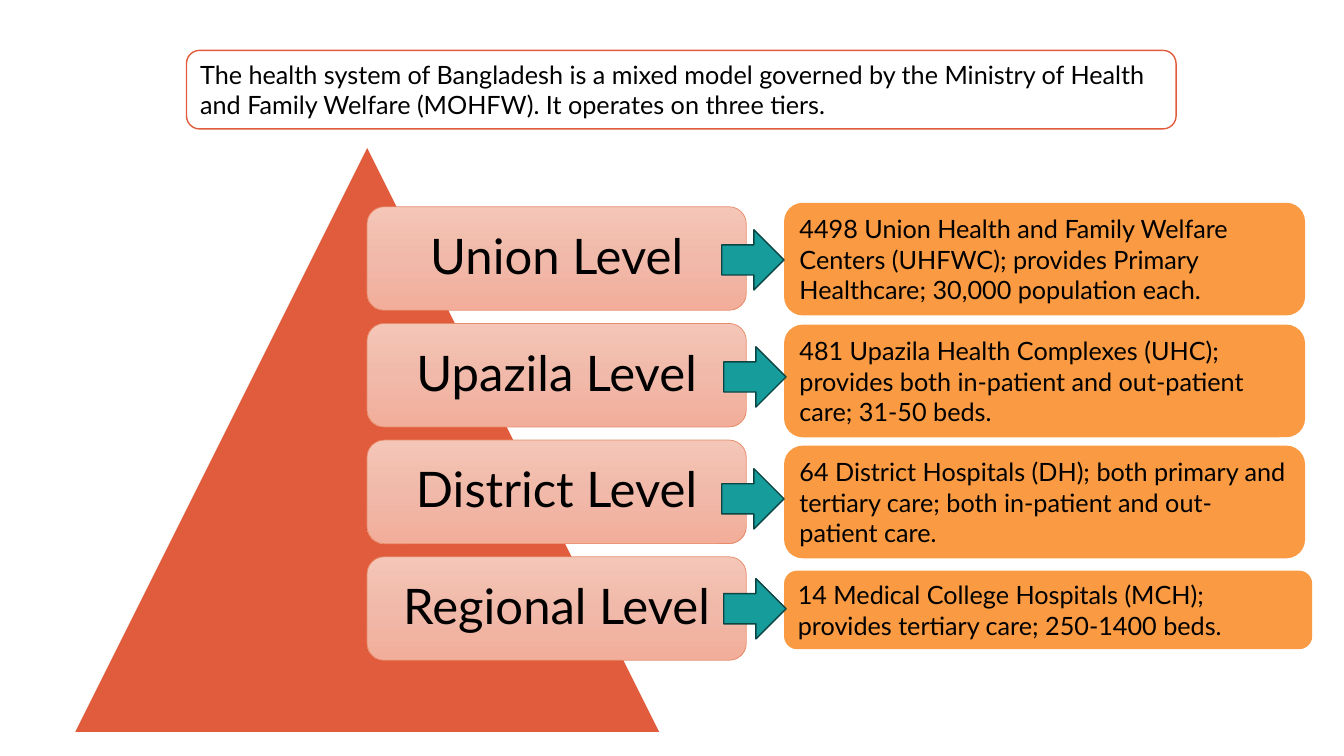
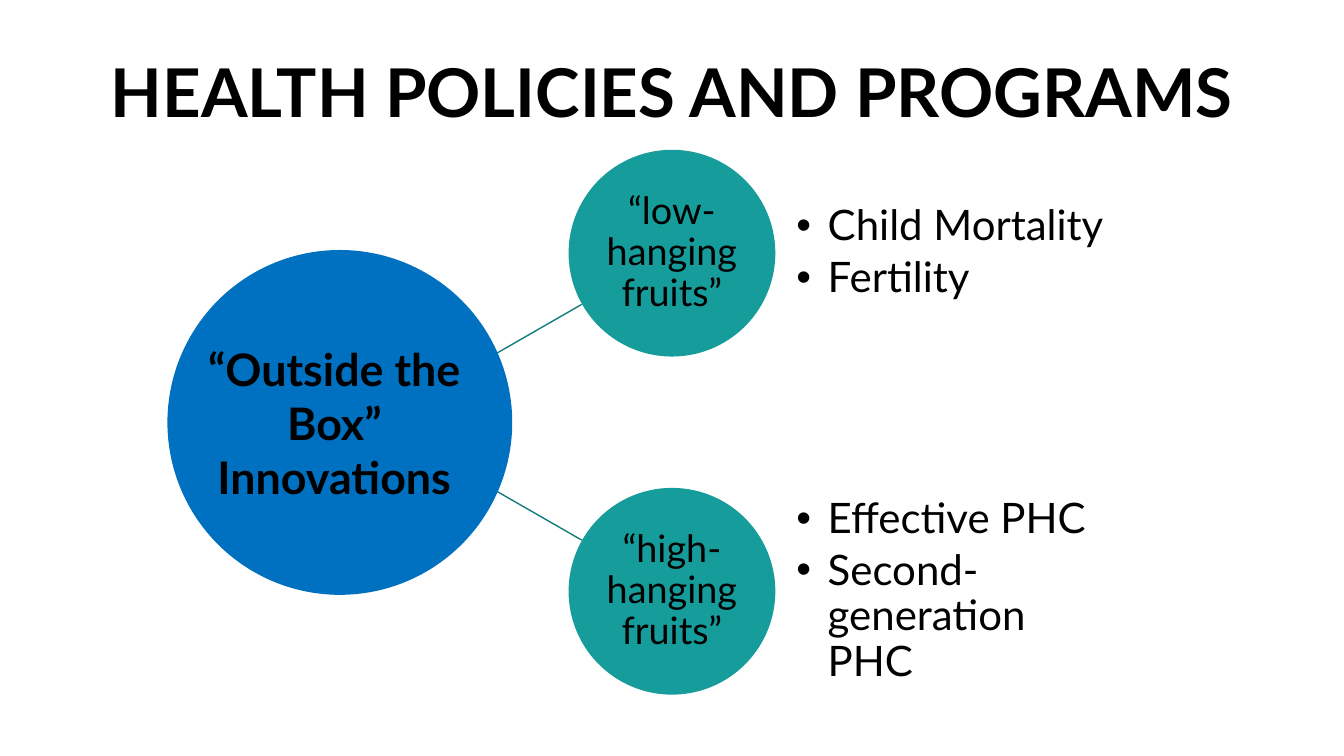
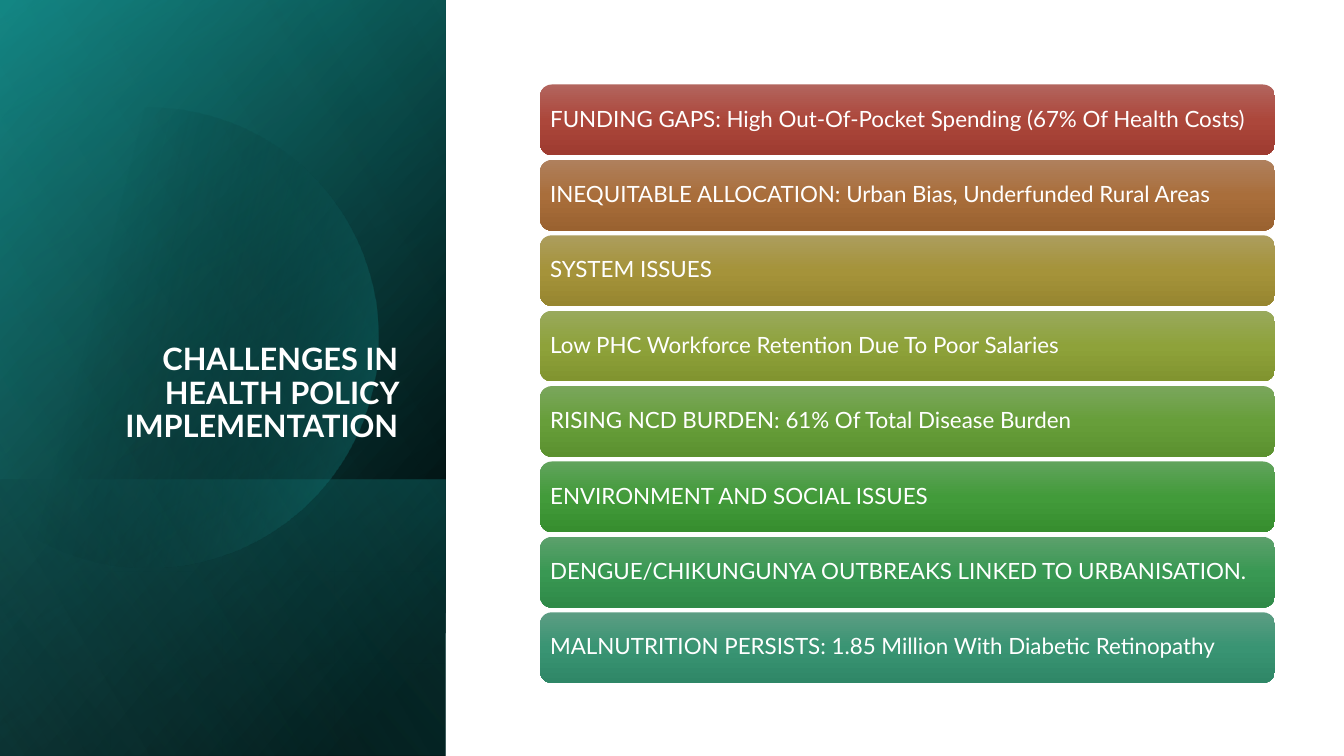
import math
from dataclasses import dataclass

from pptx import Presentation
from pptx import util as u
from pptx.dml.color import RGBColor
from pptx.enum import shapes, text
from pptx.oxml import parse_xml
from pptx.oxml.ns import nsdecls, qn

Cm, Pt = u.Cm, u.Pt
PRESET, ALIGN, ANCHOR = shapes.MSO_SHAPE, text.PP_ALIGN, text.MSO_ANCHOR


@dataclass(frozen=True)
class Theme:
    font: str = "Lato"
    black: str = "000000"
    white: str = "FFFFFF"
    coral: str = "E15C3D"
    orange: str = "FA9A42"
    teal: str = "169C9A"
    deep_teal: str = "117573"
    link: str = "127D7B"
    arrow_edge: str = "0A4443"
    aqua: str = "50E6E4"
    blue: str = "0070C0"
    pill: tuple = ("F4C6B8", "F1B9A9", "F2AE9A")
    pill_edge: str = "E78A67"
    title: int = 48
    side_title: int = 22
    level: int = 35
    hub: int = 32
    bullet: int = 30
    leaf: int = 27
    note: int = 18
    bar: int = 16


T = Theme()

# Content: slide 1
INTRO = ("The health system of Bangladesh is a mixed model governed by the Ministry of "
         "Health and Family Welfare (MOHFW). It operates on three tiers.")
# level, details, details box (top, width, height), arrow (left, top)
TIERS = [
    ("Union Level", "4498 Union Health and Family Welfare Centers (UHFWC); provides Primary "
     "Healthcare; 30,000 population each.", (5.11, 13.13, 2.84), (18.19, 5.79)),
    ("Upazila Level", "481 Upazila Health Complexes (UHC); provides both in-patient and "
     "out-patient care; 31-50 beds.", (8.18, 13.13, 2.84), (18.24, 8.74)),
    ("District Level", "64 District Hospitals (DH); both primary and tertiary care; both "
     "in-patient and out-patient care.", (11.23, 13.13, 2.84), (18.19, 11.81)),
    ("Regional Level", "14 Medical College Hospitals (MCH); provides tertiary care; "
     "250-1400 beds.", (14.38, 13.31, 1.98), (18.24, 14.58)),
]

# Content: slide 2
POLICIES = "HEALTH POLICIES AND PROGRAMS"
HUB = "“Outside the Box” Innovations"
BRANCHES = [
    ("“low-hanging fruits”", ["Child Mortality", "Fertility"]),
    ("“high-hanging fruits”", ["Effective PHC", "Second-generation PHC"]),
]

# Content: slide 3
CHALLENGES = "CHALLENGES IN HEALTH POLICY IMPLEMENTATION"
ISSUES = [
    ("FUNDING GAPS: High Out-Of-Pocket Spending (67% Of Health Costs)",
     ("B2645D", "AC473B", "9E3B30")),
    ("INEQUITABLE ALLOCATION: Urban Bias, Underfunded Rural Areas",
     ("AF805D", "A96E3B", "9A6230")),
    ("SYSTEM ISSUES", ("AC9D5D", "A5933A", "978630")),
    ("Low PHC Workforce Retention Due To Poor Salaries", ("99A95D", "8EA23A", "81942F")),
    ("RISING NCD BURDEN: 61% Of Total Disease Burden", ("7AA65C", "679E3A", "5B912F")),
    ("ENVIRONMENT AND SOCIAL ISSUES", ("61A35C", "429B3A", "378E2F")),
    ("DENGUE/CHIKUNGUNYA OUTBREAKS LINKED TO URBANISATION.",
     ("5CA06C", "399853", "2F8A48")),
    ("MALNUTRITION PERSISTS: 1.85 Million With Diabetic Retinopathy",
     ("5C9D83", "399473", "2F8767")),
]


# Shared helpers
def rgb(code):
    return RGBColor.from_string(code)


def place(shape, left, top, width, height):
    shape.left, shape.top, shape.width, shape.height = map(Cm, (left, top, width, height))


def write(shape, lines, size, color=T.black, align=ALIGN.LEFT, anchor=ANCHOR.MIDDLE,
          bold=False, spacing=1.0, after=0, inset=None, indent=None):
    frame = shape.text_frame
    frame.word_wrap, frame.auto_size = True, text.MSO_AUTO_SIZE.NONE
    frame.vertical_anchor = anchor
    if inset is not None:
        frame.margin_left = frame.margin_right = Cm(inset)
        frame.margin_top = frame.margin_bottom = Cm(inset)
    frame.text = "\n".join(lines)
    for paragraph in frame.paragraphs:
        if indent:
            properties = paragraph._p.get_or_add_pPr()
            properties.set("marL", str(Cm(indent)))
            properties.set("indent", str(-Cm(indent)))
        paragraph.alignment, paragraph.line_spacing = align, spacing
        paragraph.space_before, paragraph.space_after = Pt(0), Pt(after)
        font = paragraph.font
        font.name, font.size, font.bold = T.font, Pt(size), bold
        font.color.rgb = rgb(color)


def gradient(shape, stops, angle):
    """Fill with (position %, colour, opacity %) stops, angle clockwise."""
    marks = "".join(
        f'<a:gs pos="{pos * 1000}"><a:srgbClr val="{color}">'
        f'<a:alpha val="{opacity * 1000}"/></a:srgbClr></a:gs>'
        for pos, color, opacity in stops)
    shape.fill.background()
    properties = shape._element.spPr
    properties.replace(properties.find(qn("a:noFill")), parse_xml(
        f'<a:gradFill {nsdecls("a")} rotWithShape="1"><a:gsLst>{marks}</a:gsLst>'
        f'<a:lin ang="{angle * 60000}" scaled="0"/></a:gradFill>'))


def paint(shape, fill=None, edge=None, edge_width=1):
    shape.shadow.inherit = False
    if fill:
        shape.fill.solid()
        shape.fill.fore_color.rgb = rgb(fill)
    if edge:
        shape.line.color.rgb = rgb(edge)
        shape.line.width = Pt(edge_width)
    else:
        shape.line.fill.background()


def add(slide, preset, box, fill=None, edge=None, edge_width=1):
    shape = slide.shapes.add_shape(preset, *map(Cm, box))
    paint(shape, fill, edge, edge_width)
    return shape


def shaded(slide, box, colors, edge=None):
    """Rounded bar with an even three-colour vertical gradient."""
    bar = add(slide, PRESET.ROUNDED_RECTANGLE, box, edge=edge, edge_width=0.5)
    gradient(bar, [(i * 50, color, 100) for i, color in enumerate(colors)], 90)
    return bar


def add_title(slide, wording, box, size, color, align):
    title = slide.shapes.title
    slide.shapes._spTree.append(title._element)
    place(title, *box)
    write(title, [wording], size, color, align, ANCHOR.BOTTOM, bold=True, spacing=0.9)


def build_tiers(slide):
    intro = add(slide, PRESET.ROUNDED_RECTANGLE, (4.7, 1.27, 24.94, 1.98), T.white, T.coral)
    write(intro, [INTRO], T.note)
    add(slide, PRESET.ISOSCELES_TRIANGLE, (1.9, 3.73, 14.71, 14.71), T.coral)
    for i, (level, details, (top, width, height), arrow) in enumerate(TIERS):
        pill = shaded(slide, (9.25, 5.21 + i * 2.94, 9.56, 2.61), T.pill, T.pill_edge)
        write(pill, [level], T.level, align=ALIGN.CENTER, spacing=0.9, after=12, inset=0.3)
        note = add(slide, PRESET.ROUNDED_RECTANGLE, (19.76, top, width, height), T.orange)
        write(note, [details], T.note)
        add(slide, PRESET.RIGHT_ARROW, (*arrow, 1.57, 1.52), T.teal, T.arrow_edge)


def build_policies(slide):
    middle, leaf_size = 10.64, 5.21
    lists = list(slide.placeholders)[1:]
    for side, (fruit, topics), topic_list in zip((-1, 1), BRANCHES, lists):
        link = slide.shapes.add_connector(
            shapes.MSO_CONNECTOR.STRAIGHT, Cm(12.45), Cm(middle + side * 1.7),
            Cm(14.66), Cm(middle + side * 2.97))
        link.line.color.rgb, link.line.width = rgb(T.link), Pt(1)
        link._element.spPr.append(parse_xml(f'<a:effectLst {nsdecls("a")}/>'))
        top = middle + side * 4.26 - leaf_size / 2
        leaf = add(slide, PRESET.OVAL, (14.33, top, leaf_size, leaf_size), T.teal)
        write(leaf, [fruit], T.leaf, align=ALIGN.CENTER, spacing=0.9, inset=0.05)
        place(topic_list, 20.07, top, 7.82, leaf_size)
        write(topic_list, topics, T.bullet, spacing=0.9, after=4.5, inset=0, indent=0.79)
    add(slide, PRESET.OVAL, (4.22, middle - 4.34, 8.69, 8.69), T.blue)
    hub = slide.shapes.add_textbox(Cm(4.83), Cm(middle - 2.18), Cm(7.19), Cm(4.37))
    write(hub, [HUB], T.hub, align=ALIGN.CENTER, bold=True)
    add_title(slide, POLICIES, (0, 0.69, 33.87, 2.77), T.title, T.black, ALIGN.CENTER)


def build_challenges(slide):
    # Side panel: stacked translucent gradients
    panel, foot = (0, 0, 11.23, 19.05), (0, 12.09, 11.23, 6.96)
    layers = [
        (panel, [(8, T.black, 100), (100, T.deep_teal, 100)], 220),
        (panel, [(0, T.black, 0), (99, T.teal, 46)], 240),
        (foot, [(2, T.teal, 29), (100, T.black, 30)], 140),
        (None, [(29, T.black, 0), (100, T.teal, 43)], 14),
        (panel, [(0, T.black, 0), (99, T.aqua, 11)], 150),
    ]
    for box, stops, angle in layers:
        layer = add(slide, PRESET.RECTANGLE, box) if box else cut_disc(slide)
        gradient(layer, stops, angle)
    add_title(slide, CHALLENGES, (1.63, 4.67, 8.66, 6.65), T.side_title, T.white, ALIGN.RIGHT)
    # Issue bars
    for i, (issue, colors) in enumerate(ISSUES):
        bar = shaded(slide, (13.61, 2.13 + i * 1.9, 18.52, 1.78), colors)
        write(bar, [issue], T.bar, T.white, spacing=0.9, inset=0.17)


def cut_disc(slide):
    """Disc cut off straight at the slide's left edge."""
    x, y, radius, steps = 3.75, 8.5, 5.8, 90
    limit = math.acos(-x / radius)
    turns = [limit * (2 * i / steps - 1) for i in range(steps + 1)]
    rim = [(Cm(x + radius * math.cos(a)), Cm(y + radius * math.sin(a))) for a in turns]
    outline = slide.shapes.build_freeform(*rim[0])
    outline.add_line_segments(rim[1:], close=True)
    disc = outline.convert_to_shape()
    paint(disc)
    return disc


def main():
    deck = Presentation()
    deck.slide_width, deck.slide_height = Cm(33.87), Cm(19.05)
    # Layouts of the default template: 6 blank, 3 two lists, 5 title only
    for layout, build in ((6, build_tiers), (3, build_policies), (5, build_challenges)):
        build(deck.slides.add_slide(deck.slide_layouts[layout]))
    deck.save("out.pptx")


if __name__ == "__main__":
    main()
